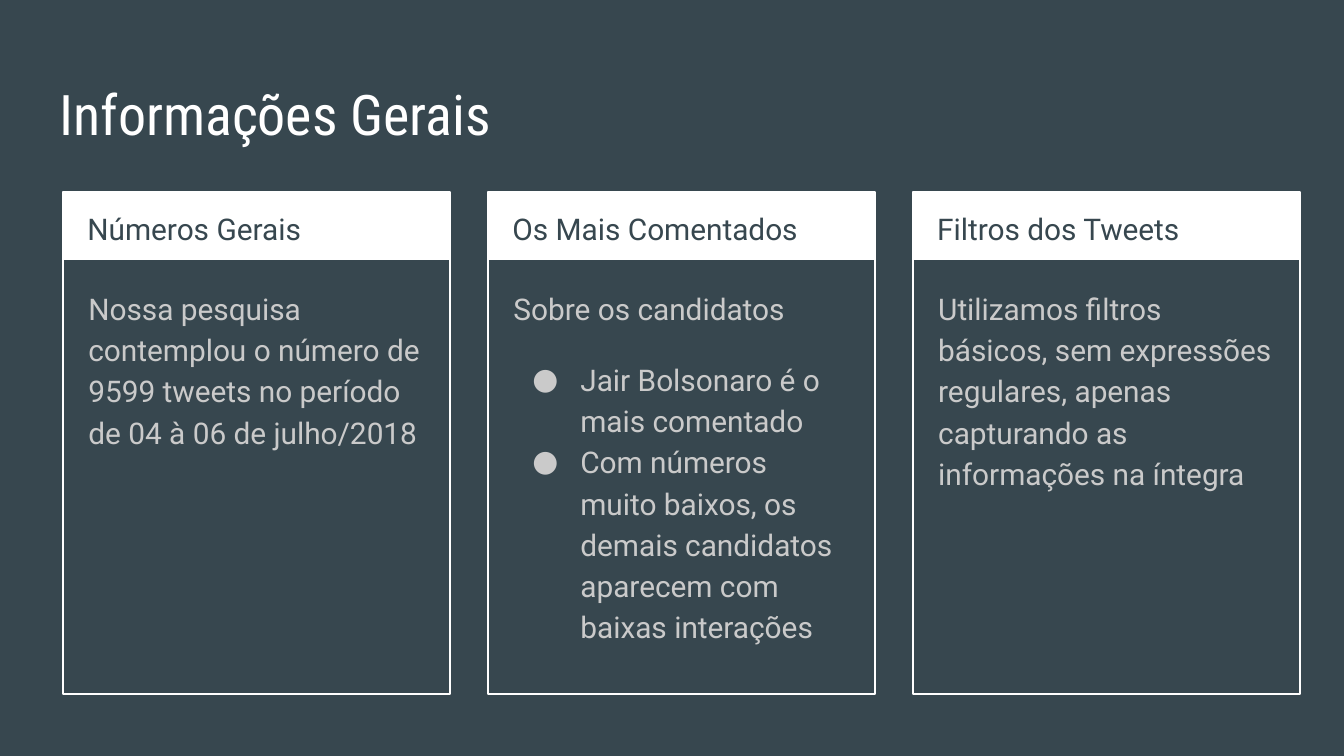
import pptx
import pptx.dml.color
import pptx.enum.shapes
import pptx.enum.text
import pptx.oxml
import pptx.oxml.ns
import pptx.util

RGB = pptx.dml.color.RGBColor
SLATE = RGB(0x37, 0x47, 0x4F)
WHITE = RGB(0xFF, 0xFF, 0xFF)
GREY = RGB(0xCA, 0xCA, 0xCA)
SCALE = 9144000 / 1344
NS = pptx.oxml.ns.nsdecls("a")

CARDS = [
    ("Números Gerais",
     ["Nossa pesquisa contemplou o número de 9599 tweets no período de 04 à 06 de julho/2018"],
     []),
    ("Os Mais Comentados",
     ["Sobre os candidatos"],
     ["Jair Bolsonaro é o mais comentado",
      "Com números muito baixos, os demais candidatos aparecem com baixas interações"]),
    ("Filtros dos Tweets",
     ["Utilizamos filtros básicos, sem expressões regulares, apenas capturando as informações na íntegra"],
     []),
]


def px(n):
    return pptx.util.Emu(round(n * SCALE))


def write(para, text, size=16, color=GREY, font="Roboto", line=1.15, before=0, bullet=False):
    props = para._p.get_or_add_pPr()
    props.set("marL", str(px(67) if bullet else 0))
    props.set("indent", str(px(-48) if bullet else 0))
    marks = [f'<a:buNone {NS}/>']
    if bullet:
        marks = [f'<a:buClr {NS}><a:srgbClr val="{color}"/></a:buClr>',
                 f'<a:buFont {NS} typeface="{font}"/>',
                 f'<a:buChar {NS} char="●"/>']
    for mark in marks:
        props.append(pptx.oxml.parse_xml(mark))
    para.alignment = pptx.enum.text.PP_ALIGN.LEFT
    para.line_spacing = line
    para.space_before = pptx.util.Pt(before)
    para.space_after = pptx.util.Pt(0)
    run = para.add_run()
    run.text = text
    run.font.name = font
    run.font.size = pptx.util.Pt(size)
    run.font.bold = False
    run.font.color.rgb = color


class Deck:
    def __init__(self):
        self.show = pptx.Presentation()
        self.show.slide_width = px(1344)
        self.show.slide_height = px(756)
        self.slide = self.show.slides.add_slide(self.show.slide_layouts[4])
        self.slide.background.fill.solid()
        self.slide.background.fill.fore_color.rgb = SLATE
        self.spare = list(self.slide.placeholders)

    def text(self, left, top, width, height, items):
        area = [px(n) for n in (left, top, width, height)]
        if self.spare:
            box = self.spare.pop(0)
            box.left, box.top, box.width, box.height = area
            box.element.getparent().append(box.element)
        else:
            box = self.slide.shapes.add_textbox(*area)
        frame = box.text_frame
        frame.word_wrap = True
        frame.auto_size = pptx.enum.text.MSO_AUTO_SIZE.NONE
        frame.vertical_anchor = pptx.enum.text.MSO_ANCHOR.TOP
        frame.margin_left = frame.margin_right = pptx.util.Inches(0.1)
        frame.margin_top = frame.margin_bottom = pptx.util.Inches(0.1)
        for i, (words, style) in enumerate(items):
            para = frame.add_paragraph() if i else frame.paragraphs[0]
            write(para, words, **style)

    def rect(self, group, left, top, width, height, fill=None, line=None):
        kind = pptx.enum.shapes.MSO_SHAPE.RECTANGLE
        shape = group.shapes.add_shape(kind, px(left), px(top), px(width), px(height))
        shape.shadow.inherit = False
        if fill is None:
            shape.fill.background()
        else:
            shape.fill.solid()
            shape.fill.fore_color.rgb = fill
        if line is None:
            shape.line.fill.background()
        else:
            shape.line.color.rgb = line
            shape.line.width = pptx.util.Pt(0.75)

    def card(self, left, head, notes, points):
        group = self.slide.shapes.add_group_shape()
        self.rect(group, left, 192, 387, 68, fill=WHITE)
        self.rect(group, left, 192, 387, 502, line=WHITE)
        self.text(left + 11, 192, 367, 67, [(head, {"color": SLATE})])
        items = [(note, {}) for note in notes]
        items += [(point, {"bullet": True, "before": 0 if i else 16})
                  for i, point in enumerate(points)]
        self.text(left + 12, 272, 364, 411, items)


def main():
    deck = Deck()
    deck.text(46, 66, 1253, 85, [("Informações Gerais", {
        "size": 30, "color": WHITE, "font": "Roboto Condensed", "line": 1})])
    for i, card in enumerate(CARDS):
        deck.card(63 + 425 * i, *card)
    deck.show.save("out.pptx")


if __name__ == "__main__":
    main()
